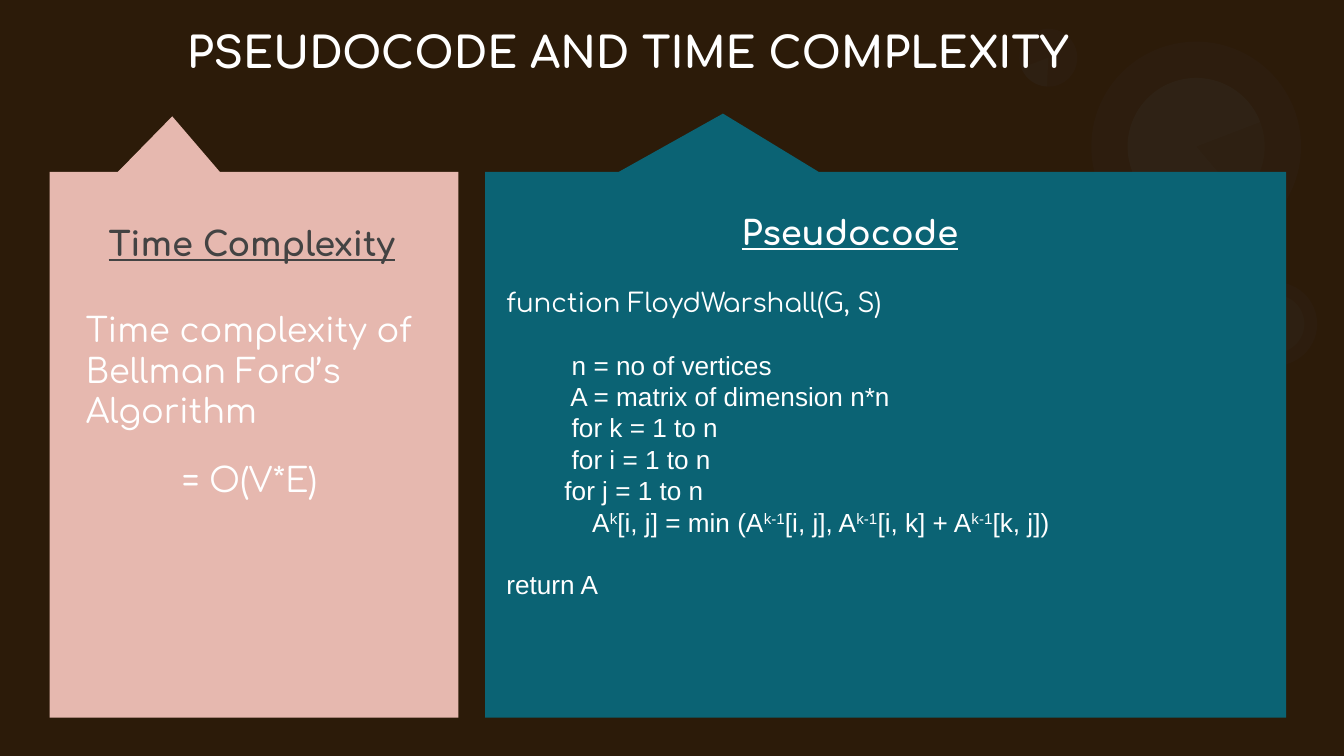
from lxml.etree import SubElement
from pptx import Presentation
from pptx.dml.color import RGBColor
from pptx.enum.shapes import MSO_SHAPE as Shape
from pptx.enum.text import MSO_ANCHOR as Anchor, MSO_AUTO_SIZE as AutoSize, PP_ALIGN as Align
from pptx.oxml.ns import qn
from pptx.util import Inches, Pt

WIDTH = 10
HEIGHT = WIDTH * 9 / 16
COLUMNS = 100
CELL = WIDTH / COLUMNS
ROWS = HEIGHT / CELL


def color(hex_code):
    return RGBColor.from_string(hex_code)


class Deck:
    white, dark, pink, teal = "FFFFFF", "434343", "E6B8AF", "0B6374"
    display, code = "Comfortaa", "Arial"

    def __init__(self):
        self.deck = Presentation()
        self.deck.slide_width, self.deck.slide_height = Inches(WIDTH), Inches(HEIGHT)

    def add_slide(self, background):
        self.slide = self.deck.slides.add_slide(self.deck.slide_layouts[5])
        fill = self.slide.background.fill
        fill.solid()
        fill.fore_color.rgb = color(background)

    def grid(self, *cells):
        return [Inches(cell * CELL) for cell in cells]

    def shape(self, kind, box, fill, adjustments=(), opacity=100, rotation=0):
        shape = self.slide.shapes.add_shape(kind, *self.grid(*box))
        shape.shadow.inherit = False
        shape.rotation = rotation
        shape.line.fill.background()
        shape.fill.solid()
        shape.fill.fore_color.rgb = color(fill)
        for index, value in enumerate(adjustments):
            shape.adjustments[index] = value
        if opacity < 100:
            tint = shape.fill._xPr.find(qn("a:solidFill"))[0]
            SubElement(tint, qn("a:alpha"), val=str(opacity * 1000))

    def circle(self, center, diameter, rotation, pie_start=None):
        left, top = (middle - diameter / 2 for middle in center)
        box = (left, top, diameter, diameter)
        self.shape(Shape.OVAL, box, self.white, opacity=9, rotation=rotation)
        if pie_start is not None:
            angles = [degrees * 0.6 for degrees in (pie_start, 123.14)]
            self.shape(Shape.PIE, box, self.white, angles, 9, rotation)

    def frame(self, holder):
        frame = holder.text_frame
        frame.word_wrap = True
        frame.auto_size = AutoSize.NONE
        frame.vertical_anchor = Anchor.TOP
        frame.margin_left = frame.margin_right = Inches(0.1)
        frame.margin_top = frame.margin_bottom = Inches(0.1)
        return frame

    def style(self, run, size, hex_code, font, bold=False, underline=False):
        run.font.size, run.font.name = Pt(size), font
        run.font.color.rgb = color(hex_code)
        run.font.bold, run.font.underline = bold, underline

    def title(self, wording, box):
        title = self.slide.shapes.title
        title.left, title.top, title.width, title.height = self.grid(*box)
        self.slide.shapes._spTree.append(title._element)
        frame = self.frame(title)
        frame.text = wording
        frame.paragraphs[0].alignment = Align.LEFT
        self.style(frame.paragraphs[0].runs[0], 23, self.white, self.display, True)

    def text(self, box, size):
        self.size = size
        self.body = self.frame(self.slide.shapes.add_textbox(*self.grid(*box)))

    def line(self, wording, font=display, before=0, spacing=1.0, align=Align.LEFT):
        paragraph = self.body.paragraphs[0]
        if paragraph.runs:
            paragraph = self.body.add_paragraph()
            paragraph.space_before = Pt(before)
        paragraph.alignment, paragraph.line_spacing = align, spacing
        for index, part in enumerate(wording.split("^")):
            run = paragraph.add_run()
            run.text = part
            self.style(run, self.size, self.white, font)
            if index % 2:
                run.font._element.set("baseline", "30000")

    def heading(self, wording, box, hex_code):
        frame = self.frame(self.slide.shapes.add_textbox(*self.grid(*box)))
        frame.text = wording
        self.style(frame.paragraphs[0].runs[0], 18, hex_code, self.display, True, True)


def main():
    deck = Deck()
    deck.add_slide("BF752B")

    deck.circle((89, 10.9), 10.2, 215.9, 193.77)
    deck.circle((89, 10.9), 15.6, 215.8)
    deck.circle((94.9, 24.1), 6.2, 35.9)
    deck.circle((94.9, 24.1), 4.3, 35.8, 57)
    deck.circle((78, 4.3), 4.3, 35.8, 57)
    deck.shape(Shape.RECTANGLE, (0, 0, COLUMNS, ROWS), "000000", opacity=77)

    panel_top, panel_height = 12.8, 40.6
    for left, width, fill, pointer in (
        (3.7, 30.4, deck.pink, (-0.2, -0.602)),
        (36.1, 59.6, deck.teal, (-0.203, -0.607)),
    ):
        box = (left, panel_top, width, panel_height)
        deck.shape(Shape.RECTANGULAR_CALLOUT, box, fill, pointer)

    deck.text((5.4, 22, 27.1, 29.8), 18)
    deck.line("Time complexity of Bellman Ford’s Algorithm")
    deck.line("= O(V*E) ", before=12, spacing=1.15, align=Align.CENTER)

    deck.text((36.7, 20.3, 56.3, 33.1), 14)
    blank_line = 16.8
    deck.line("function FloydWarshall(G, S)")
    for wording, before in (
        ("         n = no of vertices", blank_line),
        ("         A = matrix of dimension n*n", 0),
        ("         for k = 1 to n", 0),
        ("         for i = 1 to n", 0),
        ("        for j = 1 to n", 0),
        ("            A^k^[i, j] = min (A^k-1^[i, j], A^k-1^[i, k] + A^k-1^[k, j])", 0),
        ("return A", blank_line),
    ):
        deck.line(wording, deck.code, before)

    deck.title("PSEUDOCODE AND TIME COMPLEXITY", (12.9, 0.9, 69, 6.4))
    deck.heading("Time Complexity", (7.1, 15.6, 24.6, 5.5), deck.dark)
    deck.heading("Pseudocode", (54.2, 14.8, 18.5, 5.5), deck.white)

    deck.deck.save("out.pptx")


if __name__ == "__main__":
    main()
